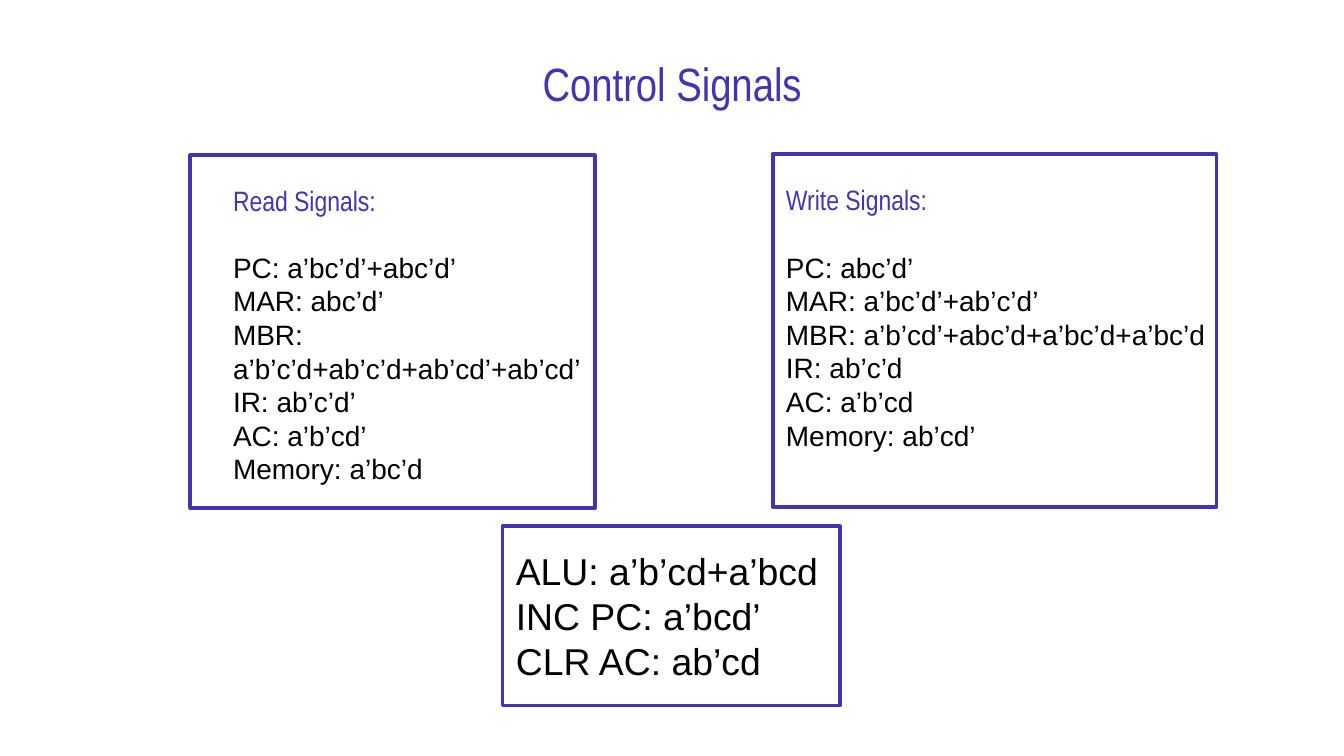
"""Build the Control Signals slide: read, write and ALU signal equations in framed boxes."""
from pptx import Presentation
from pptx.dml.color import RGBColor
from pptx.enum.shapes import MSO_SHAPE as Preset
from pptx.enum.text import MSO_ANCHOR as Anchor, MSO_AUTO_SIZE as AutoSize, PP_ALIGN as Align
from pptx.util import Emu, Pt

PX = 9525
THEME = {
    "violet": RGBColor(0x43, 0x35, 0xAF),
    "black": RGBColor(0, 0, 0),
    "heading_font": "Arial Narrow",
    "body_font": "Arial",
    "title": Pt(25),
    "signal": Pt(15),
    "signal_pitch": Pt(18),
    "alu": Pt(20),
    "alu_pitch": Pt(24),
    "frame": Pt(2),
}


def px(*lengths):
    return [Emu(length * PX) for length in lengths]


def write(area, lines, frame_format, line_format, fonts):
    frame = slide.shapes.add_textbox(*px(*area)).text_frame
    for name, value in frame_format.items():
        setattr(frame, name, value)
    for index, (words, font_format) in enumerate(zip(lines, fonts)):
        line = frame.paragraphs[0] if index == 0 else frame.add_paragraph()
        for name, value in line_format.items():
            setattr(line, name, value)
        run = line.add_run()
        run.text = words
        for name, value in font_format.items():
            if name == "color":
                run.font.color.rgb = value
            else:
                setattr(run.font, name, value)
    return frame


deck = Presentation()
deck.slide_width, deck.slide_height = px(960, 540)
slide = deck.slides.add_slide(deck.slide_layouts[6])

heading = {"name": THEME["heading_font"], "color": THEME["violet"]}
body = {"name": THEME["body_font"], "color": THEME["black"]}
growing = {"word_wrap": True, "auto_size": AutoSize.SHAPE_TO_FIT_TEXT}

write(
    (54, 32, 852, 54), ["Control Signals"],
    {"word_wrap": True, "vertical_anchor": Anchor.MIDDLE},
    {"alignment": Align.CENTER},
    [heading | {"size": THEME["title"]}],
)

signal_lists = [
    ((157, 126, 307, 228), Align.LEFT, [
        "Read Signals:",
        "PC: a’bc’d’+abc’d’",
        "MAR: abc’d’",
        "MBR: a’b’c’d+ab’c’d+ab’cd’+ab’cd’",
        "IR: ab’c’d’",
        "AC: a’b’cd’",
        "Memory: a’bc’d",
    ]),
    ((552, 126, 354, 204), Align.JUSTIFY, [
        "Write Signals:",
        "PC: abc’d’",
        "MAR: a’bc’d’+ab’c’d’",
        "MBR: a’b’cd’+abc’d+a’bc’d+a’bc’d",
        "IR: ab’c’d",
        "AC: a’b’cd",
        "Memory: ab’cd’",
    ]),
]
signal_size = {"size": THEME["signal"]}
for area, alignment, signals in signal_lists:
    equations = write(
        area, signals, growing,
        {"alignment": alignment, "line_spacing": THEME["signal_pitch"]},
        [heading | signal_size] + [body | signal_size] * (len(signals) - 1),
    )
    equations.paragraphs[0].space_after = THEME["signal_pitch"]

alu_signals = ["ALU: a’b’cd+a’bcd", "INC PC: a’bcd’", "CLR AC: ab’cd"]
write(
    (359, 387, 241, 107), alu_signals, growing,
    {"line_spacing": THEME["alu_pitch"]},
    [body | {"size": THEME["alu"]}] * len(alu_signals),
)

for area in [(136, 111, 289, 252), (552, 110, 317, 252), (359, 376, 241, 128)]:
    border = slide.shapes.add_shape(Preset.RECTANGLE, *px(*area))
    border.shadow.inherit = False
    border.fill.background()
    border.line.color.rgb = THEME["violet"]
    border.line.width = THEME["frame"]

deck.save("out.pptx")
